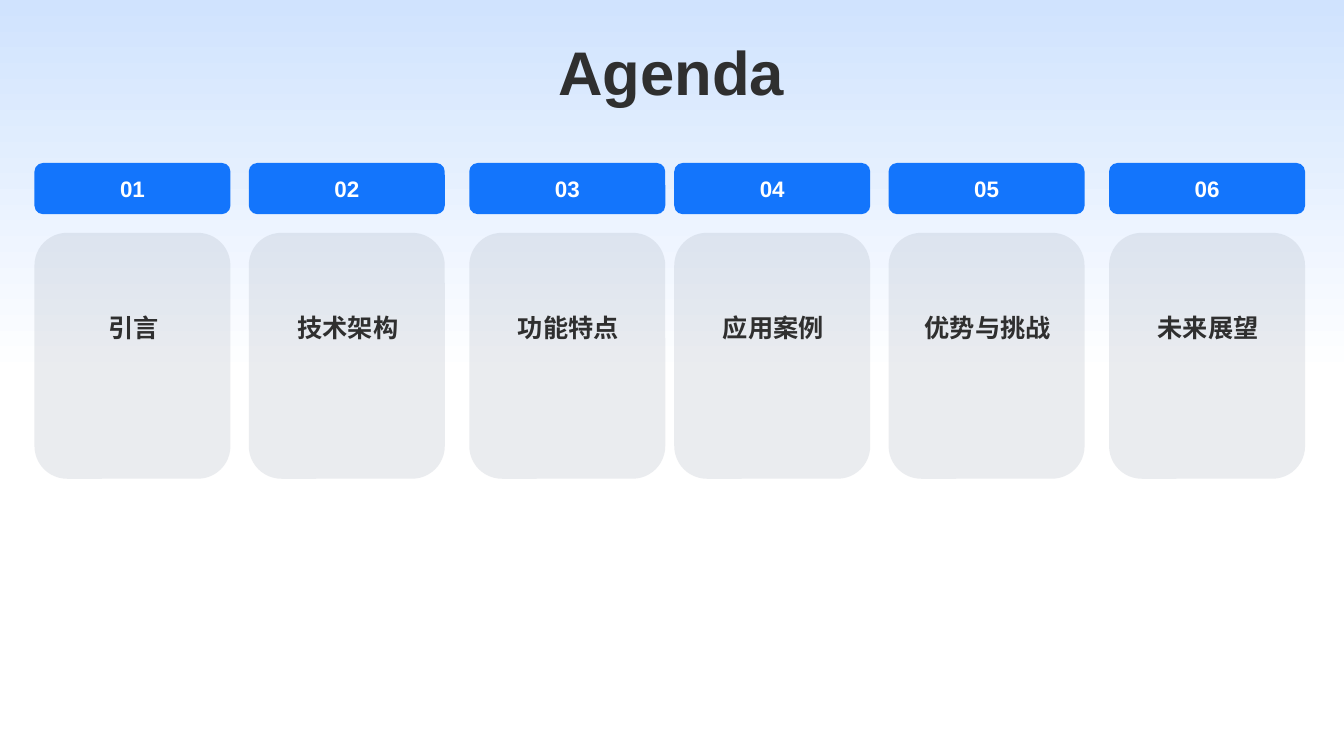
"""Build an agenda slide with six numbered topic cards."""
from itertools import product

from lxml.etree import SubElement
from pptx import Presentation
from pptx.dml.color import RGBColor
from pptx.enum.shapes import MSO_SHAPE as Shape
from pptx.enum.text import MSO_ANCHOR as Anchor, MSO_AUTO_SIZE as AutoSize, PP_ALIGN as Align
from pptx.oxml.ns import qn
from pptx.util import Pt


def write(box, text, size, color, font="Arial", anchor=Anchor.MIDDLE, wrap=True):
    frame = box.text_frame
    frame.word_wrap = wrap
    frame.vertical_anchor = anchor
    para = frame.paragraphs[0]
    para.alignment = Align.CENTER
    span = para.add_run()
    span.text = text
    span.font.size = Pt(size)
    span.font.bold = True
    span.font.color.rgb = RGBColor.from_string(color)
    span.font.name = font
    SubElement(span.font._element, qn("a:ea"), typeface=font)


def add_rounded(page, left, top, width, height, color):
    box = page.shapes.add_shape(Shape.ROUNDED_RECTANGLE, Pt(left), Pt(top), Pt(width), Pt(height))
    box.shadow.inherit = False
    box.fill.solid()
    box.fill.fore_color.rgb = RGBColor.from_string(color)
    box.line.fill.background()
    return box


BLUE, GRAY, DARK, WHITE = "1375FC", "778495", "2F2F2F", "FFFFFF"
TOPICS = ["引言", "技术架构", "功能特点", "应用案例", "优势与挑战", "未来展望"]
GROUP_LEFTS = [24.6, 481.6]
COLUMN_OFFSETS = [0, 153.1, 310.6]
CARD_WIDTH = 140

deck = Presentation()
deck.slide_width, deck.slide_height = Pt(960), Pt(540)
page = deck.slides.add_slide(deck.slide_layouts[5])

backdrop = page.background.fill
backdrop.gradient()
backdrop.gradient_angle = 270
for stop, color, position in zip(backdrop.gradient_stops, ["D0E3FE", WHITE], [0, 0.5]):
    stop.color.rgb = RGBColor.from_string(color)
    stop.position = position

title = page.shapes.title
title.left, title.top, title.width, title.height = Pt(51.8), Pt(10), Pt(855.4), Pt(70.6)
write(title, "Agenda", 44, DARK, anchor=Anchor.BOTTOM)

columns = product(GROUP_LEFTS, COLUMN_OFFSETS)
for number, (topic, (group_left, offset)) in enumerate(zip(TOPICS, columns), 1):
    left = group_left + offset
    badge = add_rounded(page, left, 116.4, CARD_WIDTH, 36.6, BLUE)
    write(badge, f"{number:02}", 16, WHITE, wrap=False)

    card = add_rounded(page, left, 166.3, CARD_WIDTH, 175.7, GRAY)
    card_color = card.fill._xPr.find(qn("a:solidFill")).find(qn("a:srgbClr"))
    SubElement(card_color, qn("a:alpha"), val="15000")

    label = page.shapes.add_textbox(Pt(left + 2.4), Pt(219.6), Pt(136.8), Pt(29))
    write(label, topic, 18, DARK, font="Noto Sans CJK SC", anchor=Anchor.TOP)
    label.text_frame.auto_size = AutoSize.SHAPE_TO_FIT_TEXT

deck.save("out.pptx")
